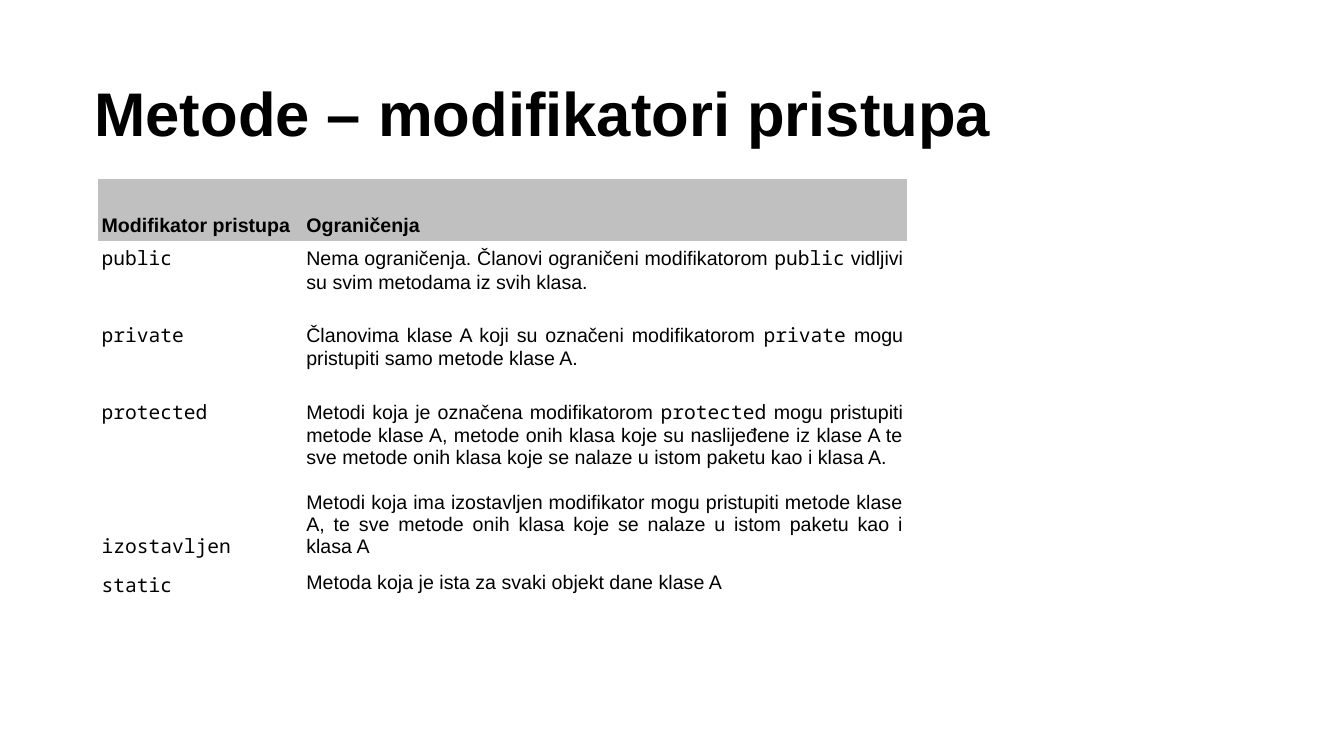
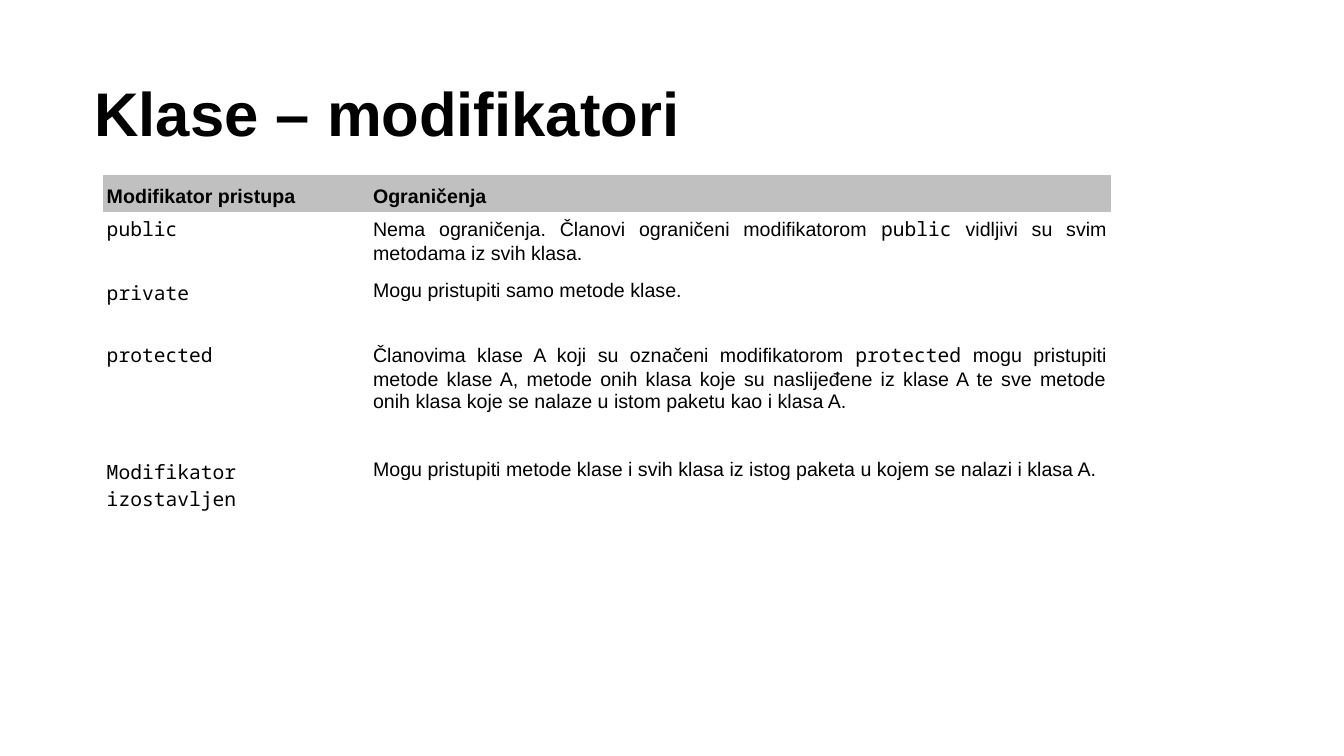
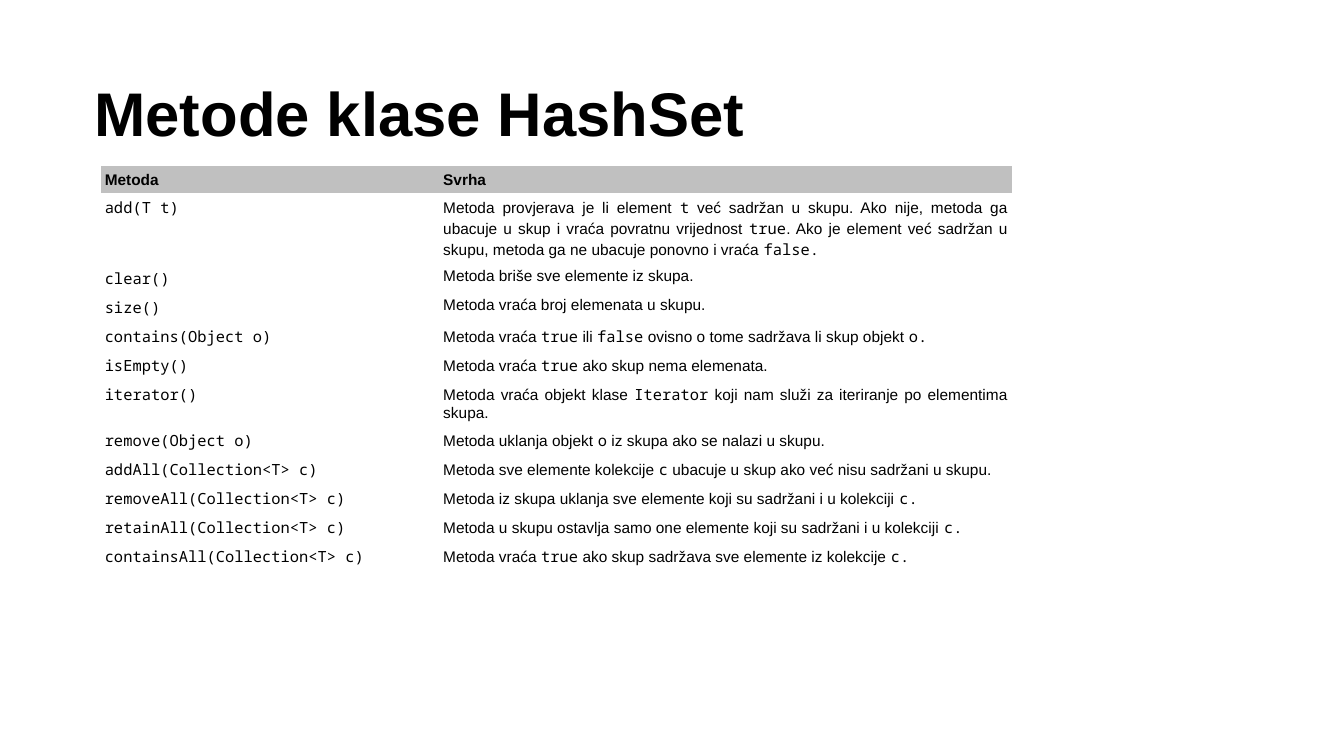
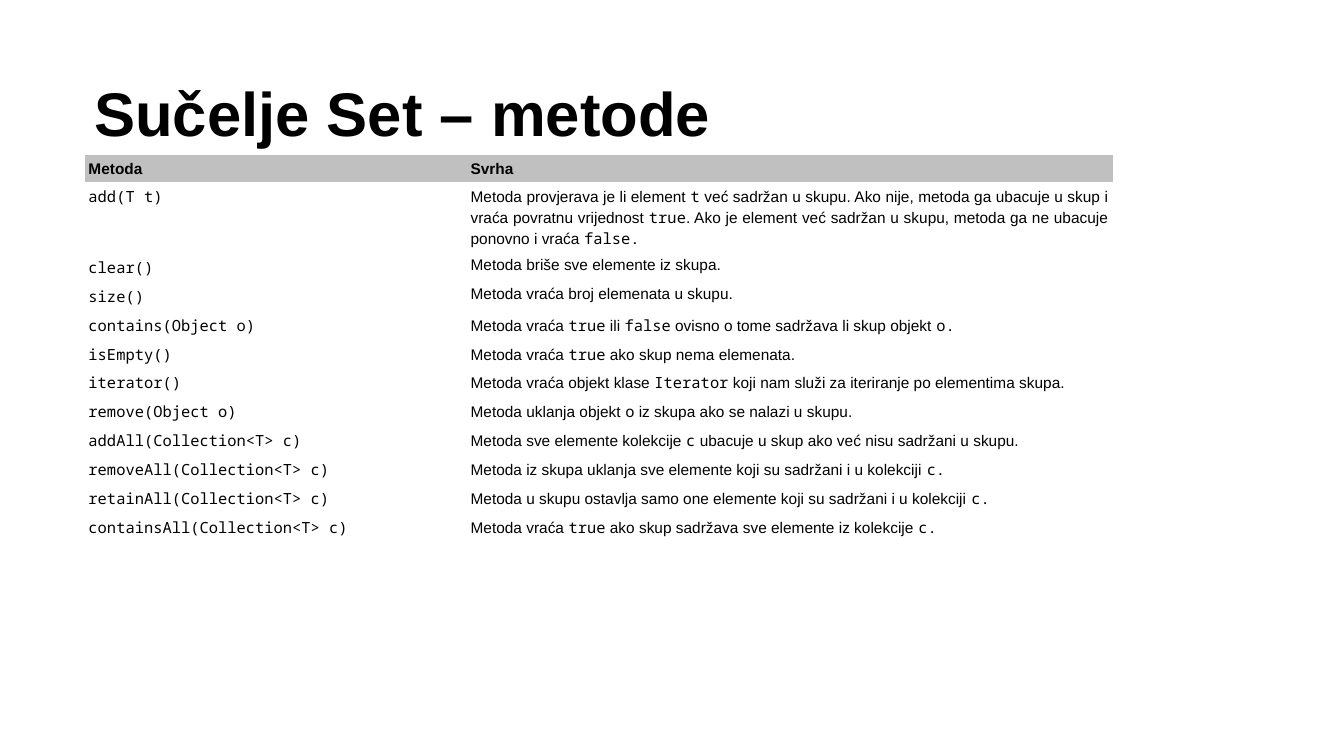
from pptx import Presentation
from pptx.dml.color import RGBColor
from pptx.enum.text import MSO_ANCHOR, PP_ALIGN
from pptx.util import Cm, Pt

BLACK = RGBColor(0x00, 0x00, 0x00)
HEADER_GRAY = RGBColor(0xC0, 0xC0, 0xC0)
TEXT_FONT = "Arial"
CODE_FONT = "Noto Sans Mono"
PLAIN_TABLE_STYLE = "{2D5ABB26-0587-4C30-8999-92F81FD0307C}"
TITLE_BOX = (Cm(2.13), Cm(1.57), Cm(25.4), Cm(2.34))
CELL_MARGIN = Cm(0.1)

# Code inside a sentence stands between backticks; a line break starts a paragraph.
ACCESS_HEADER = ("Modifikator pristupa", "Ograničenja")
METHOD_ACCESS = [
    ("`public`", "Nema ograničenja. Članovi ograničeni modifikatorom `public` vidljivi "
                 "su svim metodama iz svih klasa."),
    ("`private`", "Članovima klase A koji su označeni modifikatorom `private` mogu "
                  "pristupiti samo metode klase A."),
    ("`protected`\n`izostavljen`",
     "Metodi koja je označena modifikatorom `protected` mogu pristupiti metode klase A, "
     "metode onih klasa koje su naslijeđene iz klase A te sve metode onih klasa koje se "
     "nalaze u istom paketu kao i klasa A.\n"
     "Metodi koja ima izostavljen modifikator mogu pristupiti metode klase A, te sve "
     "metode onih klasa koje se nalaze u istom paketu kao i klasa A"),
    ("`static`", "Metoda koja je ista za svaki objekt dane klase A"),
]
CLASS_ACCESS = [
    ("`public`", "Nema ograničenja. Članovi ograničeni modifikatorom `public` vidljivi "
                 "su svim metodama iz svih klasa."),
    ("`private`", "Mogu pristupiti samo metode klase."),
    ("`protected`",
     "Članovima klase A koji su označeni modifikatorom `protected` mogu pristupiti metode "
     "klase A, metode onih klasa koje su naslijeđene iz klase A te sve metode onih klasa "
     "koje se nalaze u istom paketu kao i klasa A."),
    ("`Modifikator izostavljen`", "Mogu pristupiti metode klase i svih klasa iz istog paketa "
                                  "u kojem se nalazi i klasa A."),
]
SET_HEADER = ("Metoda", "Svrha")
SET_METHODS = [
    ("`add(T t)`",
     "Metoda provjerava je li element `t` već sadržan u skupu. Ako nije, metoda ga ubacuje "
     "u skup i vraća povratnu vrijednost `true`. Ako je element već sadržan u skupu, metoda "
     "ga ne ubacuje ponovno i vraća `false.`"),
    ("`clear()`", "Metoda briše sve elemente iz skupa."),
    ("`size()`", "Metoda vraća broj elemenata u skupu."),
    ("`contains(Object o)`",
     "Metoda vraća `true` ili `false` ovisno o tome sadržava li skup objekt `o.`"),
    ("`isEmpty()`", "Metoda vraća `true` ako skup nema elemenata."),
    ("`iterator()`",
     "Metoda vraća objekt klase `Iterator` koji nam služi za iteriranje po elementima skupa."),
    ("`remove(Object o)`", "Metoda uklanja objekt `o` iz skupa ako se nalazi u skupu."),
    ("`addAll(Collection<T> c)`",
     "Metoda sve elemente kolekcije `c` ubacuje u skup ako već nisu sadržani u skupu."),
    ("`removeAll(Collection<T> c)`",
     "Metoda iz skupa uklanja sve elemente koji su sadržani i u kolekciji `c.`"),
    ("`retainAll(Collection<T> c)`",
     "Metoda u skupu ostavlja samo one elemente koji su sadržani i u kolekciji `c.`"),
    ("`containsAll(Collection<T> c)`",
     "Metoda vraća `true` ako skup sadržava sve elemente iz kolekcije `c.`"),
]


def format_run(run, size, font=TEXT_FONT, bold=False):
    run.font.name = font
    run.font.size = Pt(size)
    run.font.bold = bold
    run.font.color.rgb = BLACK


def add_title(slide, text, box):
    text_frame = slide.shapes.add_textbox(*box).text_frame
    text_frame.word_wrap = True
    text_frame.vertical_anchor = MSO_ANCHOR.BOTTOM
    text_frame.text = text
    paragraph = text_frame.paragraphs[0]
    paragraph.line_spacing = 0.9
    format_run(paragraph.runs[0], 44, bold=True)


def write_paragraph(paragraph, text, size, bold):
    """Write text, setting the parts between backticks in the code font."""
    for index, part in enumerate(text.split("`")):
        if part:
            run = paragraph.add_run()
            run.text = part
            format_run(run, size, CODE_FONT if index % 2 else TEXT_FONT, bold)


def fill_cell(cell, text, size, is_header, paragraph_gap):
    cell.margin_left = cell.margin_right = CELL_MARGIN
    cell.margin_top = cell.margin_bottom = CELL_MARGIN
    if is_header:
        cell.fill.solid()
        cell.fill.fore_color.rgb = HEADER_GRAY
        cell.vertical_anchor = MSO_ANCHOR.BOTTOM
    else:
        cell.fill.background()
        cell.vertical_anchor = MSO_ANCHOR.TOP
    text_frame = cell.text_frame
    for index, line in enumerate(text.split("\n")):
        paragraph = text_frame.add_paragraph() if index else text_frame.paragraphs[0]
        if index:
            paragraph.space_before = Pt(paragraph_gap)
        paragraph.alignment = PP_ALIGN.LEFT if is_header else PP_ALIGN.JUSTIFY
        write_paragraph(paragraph, line, size, is_header)


def add_description_table(slide, left, top, widths, heights, rows, size, gaps=(0, 0)):
    """Lengths are in cm; gaps separate the paragraphs of each column, in points."""
    frame = slide.shapes.add_table(len(rows), len(widths), Cm(left), Cm(top),
                                   Cm(sum(widths)), Cm(sum(heights)))
    table = frame.table
    table.horz_banding = False
    table.first_row = False
    table._tbl.tblPr.find("{*}tableStyleId").text = PLAIN_TABLE_STYLE
    for column, width in zip(table.columns, widths):
        column.width = Cm(width)
    for row_index, (row, height, texts) in enumerate(zip(table.rows, heights, rows)):
        row.height = Cm(height)
        for cell, text, gap in zip(row.cells, texts, gaps):
            fill_cell(cell, text, size, row_index == 0, gap)


def add_table_slide(presentation, title, **table):
    slide = presentation.slides.add_slide(presentation.slide_layouts[6])
    add_title(slide, title, TITLE_BOX)
    add_description_table(slide, **table)


def set_row_heights(iterator_height):
    return [0.63, 1.79] + [0.73] * 4 + [iterator_height] + [0.73] * 5


def main():
    presentation = Presentation()
    presentation.slide_width = Cm(33.87)
    presentation.slide_height = Cm(19.05)

    add_table_slide(presentation, "Metode – modifikatori pristupa",
                    left=2.46, top=4.5, widths=[5.16, 15.24],
                    heights=[1.57, 1.93, 1.93, 4.37, 1.17],
                    rows=[ACCESS_HEADER] + METHOD_ACCESS, size=14, gaps=(77, 16))
    add_table_slide(presentation, "Klase – modifikatori",
                    left=2.59, top=4.4, widths=[6.71, 18.69],
                    heights=[0.94, 1.6, 1.57, 2.95, 2.24],
                    rows=[ACCESS_HEADER] + CLASS_ACCESS, size=14)
    add_table_slide(presentation, "Metode klase HashSet",
                    left=2.54, top=4.19, widths=[8.53, 14.43],
                    heights=set_row_heights(1.18),
                    rows=[SET_HEADER] + SET_METHODS, size=11)
    add_table_slide(presentation, "Sučelje Set – metode",
                    left=2.13, top=3.91, widths=[9.63, 16.28],
                    heights=set_row_heights(0.73),
                    rows=[SET_HEADER] + SET_METHODS, size=11)

    presentation.save("out.pptx")


if __name__ == "__main__":
    main()
